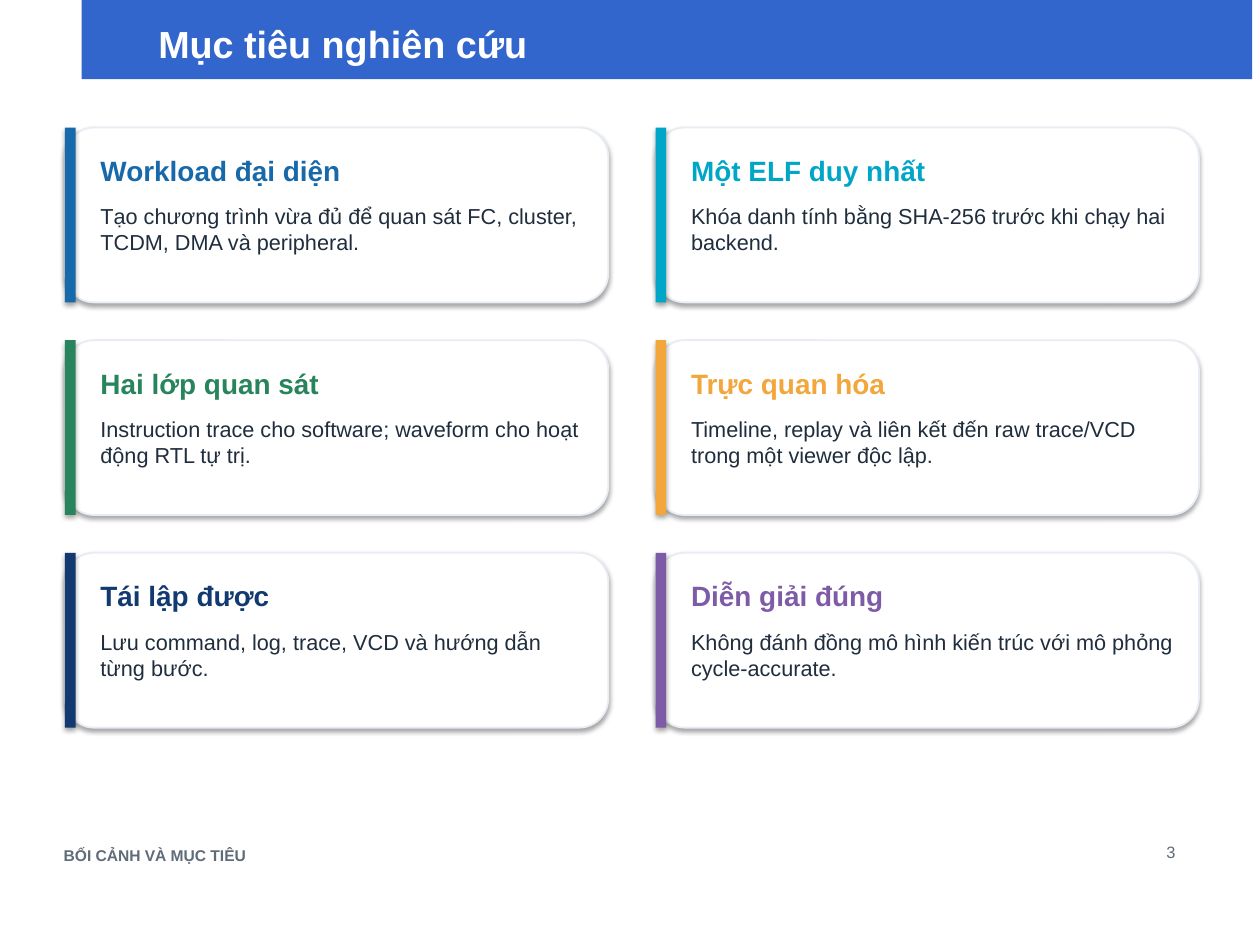
from lxml.etree import SubElement
from pptx import Presentation
from pptx.dml.color import RGBColor
from pptx.enum.shapes import MSO_SHAPE
from pptx.enum.text import MSO_ANCHOR, MSO_AUTO_SIZE, PP_ALIGN
from pptx.oxml.ns import qn
from pptx.util import Pt

COLORS = {
    "band": "3366CC", "white": "FFFFFF", "border": "E8EDF3", "shadow": "000000",
    "body": "1F2D3D", "footer": "5E6B78",
    "blue": "1769AA", "cyan": "00A6C8", "green": "27845C",
    "orange": "F2A63B", "navy": "123A70", "purple": "7D5BA6",
}
FONT = "Arial"

GRID_LEFT, GRID_TOP = 39.6, 77.76
COLUMNS, COLUMN_STEP, ROW_STEP = 2, 360, 129.6
CARD_WIDTH, CARD_HEIGHT, BAR_WIDTH = 331.2, 106.56, 6.48
TEXT_INDENT, TEXT_WIDTH = 15.84, 306

GOALS = [
    ("Workload đại diện", "Tạo chương trình vừa đủ để quan sát FC, cluster, TCDM, DMA và peripheral.", "blue"),
    ("Một ELF duy nhất", "Khóa danh tính bằng SHA-256 trước khi chạy hai backend.", "cyan"),
    ("Hai lớp quan sát", "Instruction trace cho software; waveform cho hoạt động RTL tự trị.", "green"),
    ("Trực quan hóa", "Timeline, replay và liên kết đến raw trace/VCD trong một viewer độc lập.", "orange"),
    ("Tái lập được", "Lưu command, log, trace, VCD và hướng dẫn từng bước.", "navy"),
    ("Diễn giải đúng", "Không đánh đồng mô hình kiến trúc với mô phỏng cycle-accurate.", "purple"),
]


def color(name):
    return RGBColor.from_string(COLORS[name])


def write_text(shape, text, size, color_name, bold, inset, align=PP_ALIGN.LEFT):
    text_frame = shape.text_frame
    text_frame.word_wrap = True
    text_frame.margin_left = text_frame.margin_right = Pt(inset)
    text_frame.margin_top = text_frame.margin_bottom = Pt(inset)
    text_frame.text = text
    paragraph = text_frame.paragraphs[0]
    paragraph.alignment = align
    font = paragraph.runs[0].font
    font.name, font.size, font.bold = FONT, Pt(size), bold
    font.color.rgb = color(color_name)


def add_text(slide, left, top, width, height, text, size, color_name,
             bold=False, align=PP_ALIGN.LEFT):
    box = slide.shapes.add_textbox(Pt(left), Pt(top), Pt(width), Pt(height))
    write_text(box, text, size, color_name, bold, 5.76, align)
    box.text_frame.auto_size = MSO_AUTO_SIZE.SHAPE_TO_FIT_TEXT


def add_block(slide, kind, left, top, width, height, fill):
    block = slide.shapes.add_shape(kind, Pt(left), Pt(top), Pt(width), Pt(height))
    block.shadow.inherit = False
    block.fill.solid()
    block.fill.fore_color.rgb = color(fill)
    block.line.fill.background()
    return block


def add_soft_shadow(shape):
    effects = shape._element.spPr.find(qn("a:effectLst"))
    shadow = SubElement(effects, qn("a:outerShdw"), blurRad=str(Pt(3.1)),
                        dist=str(Pt(1.8)), dir="5400000", rotWithShape="0")
    shade = SubElement(shadow, qn("a:srgbClr"), val=COLORS["shadow"])
    SubElement(shade, qn("a:alpha"), val="35000")


def add_title(slide, text):
    add_block(slide, MSO_SHAPE.RECTANGLE, 49.68, 0, 713.52, 48.24, "band")
    title = slide.shapes.title
    title.left, title.top, title.width, title.height = Pt(95.04), Pt(6.48), Pt(615.6), Pt(40.32)
    write_text(title, text, 23, "white", True, 1.44)
    title.text_frame.auto_size = MSO_AUTO_SIZE.NONE
    title.text_frame.vertical_anchor = MSO_ANCHOR.MIDDLE
    slide.shapes._spTree.append(title._element)  # in front of the band


def add_card(slide, left, top, heading, body, accent):
    card = add_block(slide, MSO_SHAPE.ROUNDED_RECTANGLE, left, top,
                     CARD_WIDTH, CARD_HEIGHT, "white")
    card.line.color.rgb = color("border")
    card.line.width = Pt(1.1)
    bar = add_block(slide, MSO_SHAPE.RECTANGLE, left, top, BAR_WIDTH, CARD_HEIGHT, accent)
    for shape in (card, bar):
        add_soft_shadow(shape)
    text_left = left + TEXT_INDENT
    add_text(slide, text_left, top + 10.08, TEXT_WIDTH, 24.48, heading, 17, accent, bold=True)
    add_text(slide, text_left, top + 40.32, TEXT_WIDTH, 57.6, body, 13.2, "body")


def add_footer(slide, section, number):
    add_text(slide, 33.12, 509.76, 324, 16.56, section, 9.5, "footer", bold=True)
    add_text(slide, 702, 507.6, 20.16, 20.16, number, 10, "footer", align=PP_ALIGN.RIGHT)


def main():
    presentation = Presentation()
    presentation.slide_width, presentation.slide_height = Pt(768), Pt(576)
    slide = presentation.slides.add_slide(presentation.slide_layouts[5])
    add_title(slide, "Mục tiêu nghiên cứu")
    add_footer(slide, "BỐI CẢNH VÀ MỤC TIÊU", "3")
    for index, (heading, body, accent) in enumerate(GOALS):
        row, column = divmod(index, COLUMNS)
        add_card(slide, GRID_LEFT + column * COLUMN_STEP, GRID_TOP + row * ROW_STEP,
                 heading, body, accent)
    presentation.save("out.pptx")


if __name__ == "__main__":
    main()
